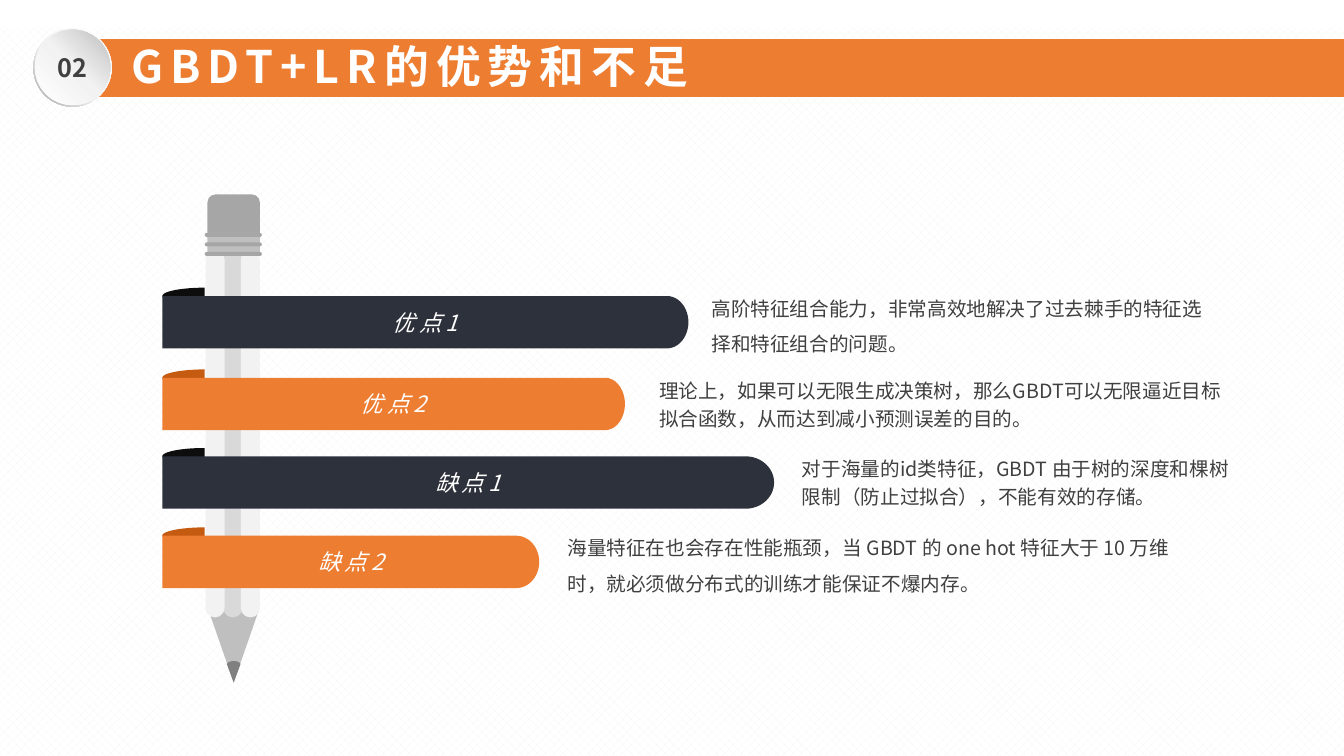
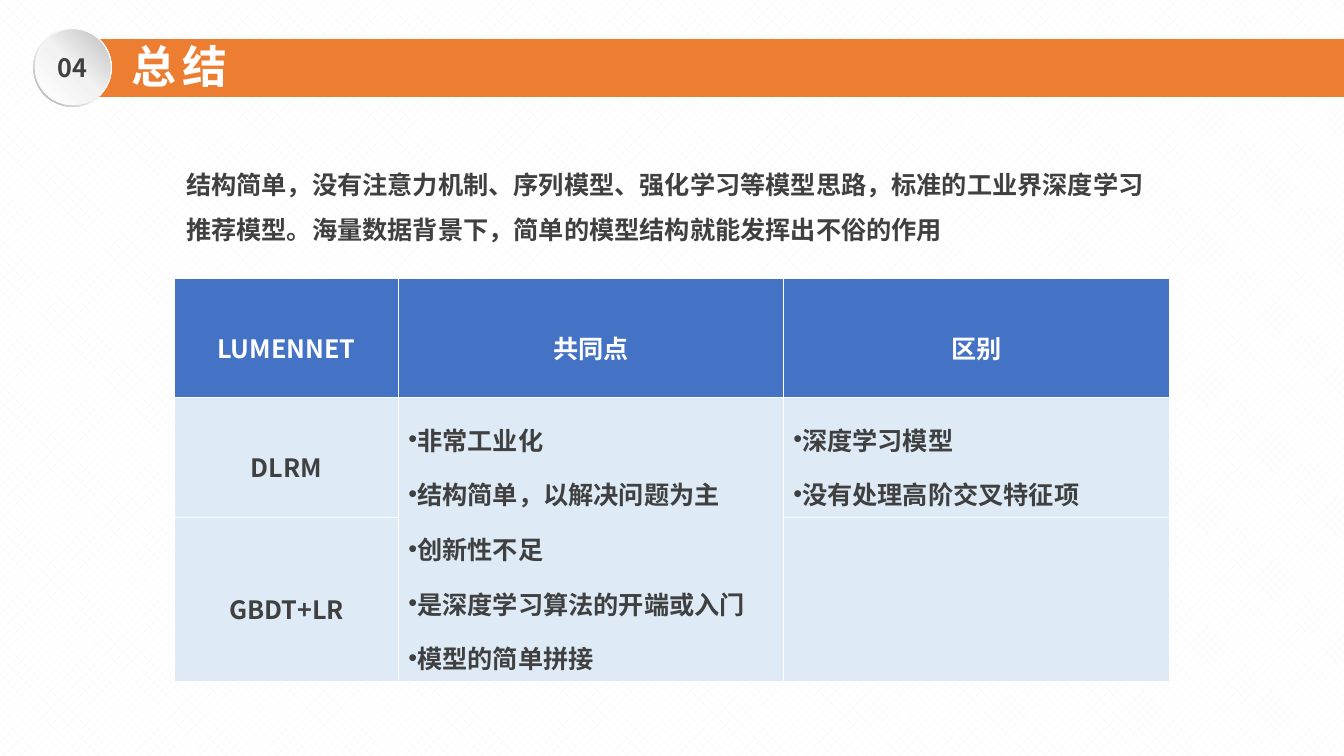
from math import cos, radians, sin

from lxml.etree import SubElement
from pptx import Presentation
from pptx.dml.color import RGBColor
from pptx.enum.dml import MSO_PATTERN_TYPE as Pattern
from pptx.enum.shapes import MSO_SHAPE as Preset
from pptx.enum.text import MSO_ANCHOR as Anchor, MSO_AUTO_SIZE as AutoSize, PP_ALIGN as Align
from pptx.oxml.ns import qn
from pptx.util import Cm, Pt

FONT = "Noto Sans CJK SC"
SLIDE_W, SLIDE_H = 33.87, 19.05

WHITE = RGBColor(0xFF, 0xFF, 0xFF)
WEAVE = RGBColor(0xF5, 0xF5, 0xF5)
ORANGE = RGBColor(0xED, 0x7D, 0x31)
DARK_ORANGE = RGBColor(0xC5, 0x5A, 0x11)
NAVY = RGBColor(0x2D, 0x31, 0x3B)
BLACK = RGBColor(0x0D, 0x0D, 0x0D)
TEXT = RGBColor(0x40, 0x40, 0x40)
BLUE = RGBColor(0x44, 0x72, 0xC4)
PALE_BLUE = RGBColor(0xDE, 0xEB, 0xF7)
GREY_95 = RGBColor(0xF2, 0xF2, 0xF2)
GREY_85 = RGBColor(0xD9, 0xD9, 0xD9)
GREY_75 = RGBColor(0xBF, 0xBF, 0xBF)
GREY_65 = RGBColor(0xA6, 0xA6, 0xA6)
GREY_50 = RGBColor(0x80, 0x80, 0x80)


# Shared helpers; all lengths are in centimetres
def style(paragraph, size, color, bold=False, italic=False,
          align=Align.LEFT, spacing=0, leading=None):
    paragraph.alignment = align
    if leading:
        paragraph.line_spacing = leading
    font = paragraph.font
    font.size, font.bold, font.italic = Pt(size), bold, italic
    font.color.rgb = color
    font.name = FONT
    props = paragraph._p.pPr.find(qn("a:defRPr"))
    SubElement(props, qn("a:ea")).set("typeface", FONT)
    if spacing:
        props.set("spc", str(spacing * 100))


def add_bullet(paragraph, hanging):
    props = paragraph._p.get_or_add_pPr()
    props.set("marL", "0")
    props.set("indent", str(-Cm(hanging)))
    SubElement(props, qn("a:buFont")).set("typeface", "Arial")
    SubElement(props, qn("a:buChar")).set("char", "•")


def finish(shape, color):
    shape.shadow.inherit = False
    shape.line.fill.background()
    if color is not None:
        shape.fill.solid()
        shape.fill.fore_color.rgb = color
    return shape


def add_preset(shapes, preset, left, top, width, height, color=None, adjust=None):
    shape = shapes.add_shape(preset, Cm(left), Cm(top), Cm(width), Cm(height))
    if adjust is not None:
        shape.adjustments[0] = adjust
    return finish(shape, color)


def add_outline(shapes, points, color):
    first, *rest = [(Cm(x), Cm(y)) for x, y in points]
    builder = shapes.build_freeform(*first)
    builder.add_line_segments(rest, close=True)
    return finish(builder.convert_to_shape(), color)


def arc(x, y, radius_x, radius_y, start, end, steps=24):
    """Points on an ellipse, with angles in degrees clockwise from the right."""
    angles = [radians(start + (end - start) * i / steps) for i in range(steps + 1)]
    return [(x + radius_x * cos(a), y + radius_y * sin(a)) for a in angles]


def fill_gradient(shape, stops, angle):
    shape.fill.gradient()
    gradient = shape._element.spPr.find(qn("a:gradFill"))
    for child in list(gradient):
        gradient.remove(child)
    stop_list = SubElement(gradient, qn("a:gsLst"))
    for position, color in stops:
        stop = SubElement(stop_list, qn("a:gs"), pos=str(position * 1000))
        SubElement(stop, qn("a:srgbClr"), val=str(color))
    SubElement(gradient, qn("a:lin"), ang=str(angle * 60000), scaled="0")


def add_text(slide, text, left, top, width, height, anchor=Anchor.TOP, **look):
    box = slide.shapes.add_textbox(Cm(left), Cm(top), Cm(width), Cm(height))
    frame = box.text_frame
    frame.word_wrap, frame.vertical_anchor = True, anchor
    frame.text = text
    style(frame.paragraphs[0], color=TEXT, **look)


# Background, title band and numbered badge
def add_badge(slide, number, left, top):
    rim = add_preset(slide.shapes, Preset.DONUT, left, top, 1.98, 1.98, adjust=0.05)
    fill_gradient(rim, [(0, WHITE), (55, GREY_95), (100, GREY_65)], 135)
    disc = add_preset(slide.shapes, Preset.OVAL, left + 0.04, top + 0.04, 1.9, 1.9)
    fill_gradient(disc, [(0, WHITE), (51, GREY_95), (100, GREY_75)], 315)
    disc.text_frame.vertical_anchor = Anchor.MIDDLE
    disc.text_frame.text = number
    style(disc.text_frame.paragraphs[0], 18, TEXT, bold=True, align=Align.CENTER)


def add_titled_slide(deck, number, heading, weave_top=0):
    slide = deck.slides.add_slide(deck.slide_layouts[5])
    weave = add_preset(slide.shapes, Preset.RECTANGLE, 0, weave_top,
                       SLIDE_W, SLIDE_H - weave_top)
    weave.fill.patterned()
    weave.fill.pattern = Pattern.WEAVE
    weave.fill.fore_color.rgb = WEAVE
    weave.fill.back_color.rgb = WHITE
    add_preset(slide.shapes, Preset.RECTANGLE, 2, 0.99, SLIDE_W - 2, 1.45, ORANGE)

    title = slide.shapes.title
    slide.shapes._spTree.append(title._element)  # bring in front of the band
    title.left, title.top, title.width, title.height = Cm(3.05), Cm(0.84), Cm(16), Cm(1.63)
    frame = title.text_frame
    frame.text = heading
    frame.auto_size, frame.vertical_anchor = AutoSize.NONE, Anchor.MIDDLE
    style(frame.paragraphs[0], 32, WHITE, bold=True, spacing=5)
    add_badge(slide, number, 0.84, 0.71)
    return slide


# Pencil: eraser on top, three body strips, tip at the bottom
def add_pencil(slide, left, top):
    parts = slide.shapes.add_group_shape().shapes
    middle = left + 0.73
    add_preset(parts, Preset.ROUNDED_RECTANGLE, left + 0.07, top, 1.32, 1.25, GREY_65, 0.16)
    add_outline(parts, [(left + 0.07, top + 10.4), (left + 1.39, top + 10.4),
                        (middle, top + 12.3)], GREY_75)
    for offset, color in ((0.47, GREY_85), (0.02, GREY_95), (0.91, GREY_95)):
        add_preset(parts, Preset.ROUNDED_RECTANGLE, left + offset, top + 1.4,
                   0.48, 9.26, color, 0.5)
    add_outline(parts, [(middle, top + 12.3)]
                + arc(middle, top + 11.84, 0.17, 0.08, 180, 360), GREY_50)
    add_preset(parts, Preset.RECTANGLE, left + 0.07, top + 0.97, 1.32, 0.58, GREY_75)
    for ring in range(3):
        add_preset(parts, Preset.ROUNDED_RECTANGLE, left, top + 0.97 + ring * 0.24,
                   1.44, 0.1, GREY_65, 0.5)


# Ribbon: folded corner, bar with a round end, explanation on the right
def add_ribbon(slide, left, top, width, cap, colors, label, note, note_box, leading):
    bar_color, fold_color = colors
    half = 0.66
    add_outline(slide.shapes, arc(left + 1.07, top, 1.07, 0.21, 90, 270), fold_color)
    bar = add_outline(
        slide.shapes,
        [(left, top)] + arc(left + width - cap, top + half, cap, half, -90, 90)
        + [(left, top + 2 * half)], bar_color)
    bar.text_frame.vertical_anchor = Anchor.MIDDLE
    bar.text_frame.text = label
    style(bar.text_frame.paragraphs[0], 16, WHITE, italic=True,
          align=Align.CENTER, spacing=3)
    note_left, note_width = note_box
    add_text(slide, note, note_left, top - 0.1, note_width, 1.42, Anchor.MIDDLE,
             size=14, leading=leading)


def build_pros_and_cons(deck):
    slide = add_titled_slide(deck, "02", "GBDT+LR的优势和不足", weave_top=0.71)
    add_pencil(slide, 5.16, 4.9)
    navy, orange = (NAVY, BLACK), (ORANGE, DARK_ORANGE)
    ribbons = [
        (7.46, 13.26, 0.54, navy, "优点1",
         "高阶特征组合能力，非常高效地解决了过去棘手的特征选择和特征组合的问题。",
         (17.68, 13.26), 1.5),
        (9.52, 11.66, 0.5, orange, "优点2",
         "理论上，如果可以无限生成决策树，那么GBDT可以无限逼近目标拟合函数，从而达到减小预测误差的目的。",
         (16.36, 14.78), Pt(20)),
        (11.5, 15.42, 0.72, navy, "缺点1",
         "对于海量的id类特征，GBDT 由于树的深度和棵树限制（防止过拟合），不能有效的存储。",
         (19.96, 11.35), Pt(20)),
        (13.5, 9.5, 0.58, orange, "缺点2",
         "海量特征在也会存在性能瓶颈，当 GBDT 的 one hot 特征大于 10 万维时，就必须做分布式的训练才能保证不爆内存。",
         (14.05, 16.08), 1.5),
    ]
    for ribbon in ribbons:
        add_ribbon(slide, 4.09, *ribbon)


# Comparison table
def fill_cell(cell, lines, background, color, hanging=None):
    cell.fill.solid()
    cell.fill.fore_color.rgb = background
    cell.vertical_anchor = Anchor.MIDDLE
    if not lines:
        return
    cell.text_frame.text = "\n".join(lines)
    for paragraph in cell.text_frame.paragraphs:
        if hanging:
            add_bullet(paragraph, hanging)
        style(paragraph, 18, color, bold=True, leading=1.5,
              align=Align.LEFT if hanging else Align.CENTER)


def add_comparison(slide, left, top):
    widths, row_height = (5.64, 9.7, 9.73), 3
    table = slide.shapes.add_table(3, 3, Cm(left), Cm(top),
                                   Cm(sum(widths)), Cm(3 * row_height)).table
    table.horz_banding = False
    for column, width in zip(table.columns, widths):
        column.width = Cm(width)
    for row in table.rows:
        row.height = Cm(row_height)
    table.cell(1, 1).merge(table.cell(2, 1))

    for column, heading in enumerate(("LUMENNET", "共同点", "区别")):
        fill_cell(table.cell(0, column), [heading], BLUE, WHITE)
    common = ["非常工业化", "结构简单，以解决问题为主", "创新性不足",
              "是深度学习算法的开端或入门", "模型的简单拼接"]
    difference = ["深度学习模型", "没有处理高阶交叉特征项"]
    body = [(["DLRM"], common, difference), (["GBDT+LR"], [], [])]
    for row, contents in enumerate(body, start=1):
        for column, (lines, hanging) in enumerate(zip(contents, (None, 0.79, 0.97))):
            fill_cell(table.cell(row, column), lines, PALE_BLUE, TEXT, hanging)


def build_summary(deck):
    slide = add_titled_slide(deck, "04", "总结")
    add_comparison(slide, 4.4, 7.02)
    add_text(slide, "结构简单，没有注意力机制、序列模型、强化学习等模型思路，标准的工业界深度学习推荐模型。"
             "海量数据背景下，简单的模型结构就能发挥出不俗的作用",
             4.44, 3.76, 25, 2.51, size=18, bold=True, leading=1.5)


def main():
    deck = Presentation()
    deck.slide_width, deck.slide_height = Cm(SLIDE_W), Cm(SLIDE_H)
    build_pros_and_cons(deck)
    build_summary(deck)
    deck.save("out.pptx")


if __name__ == "__main__":
    main()
